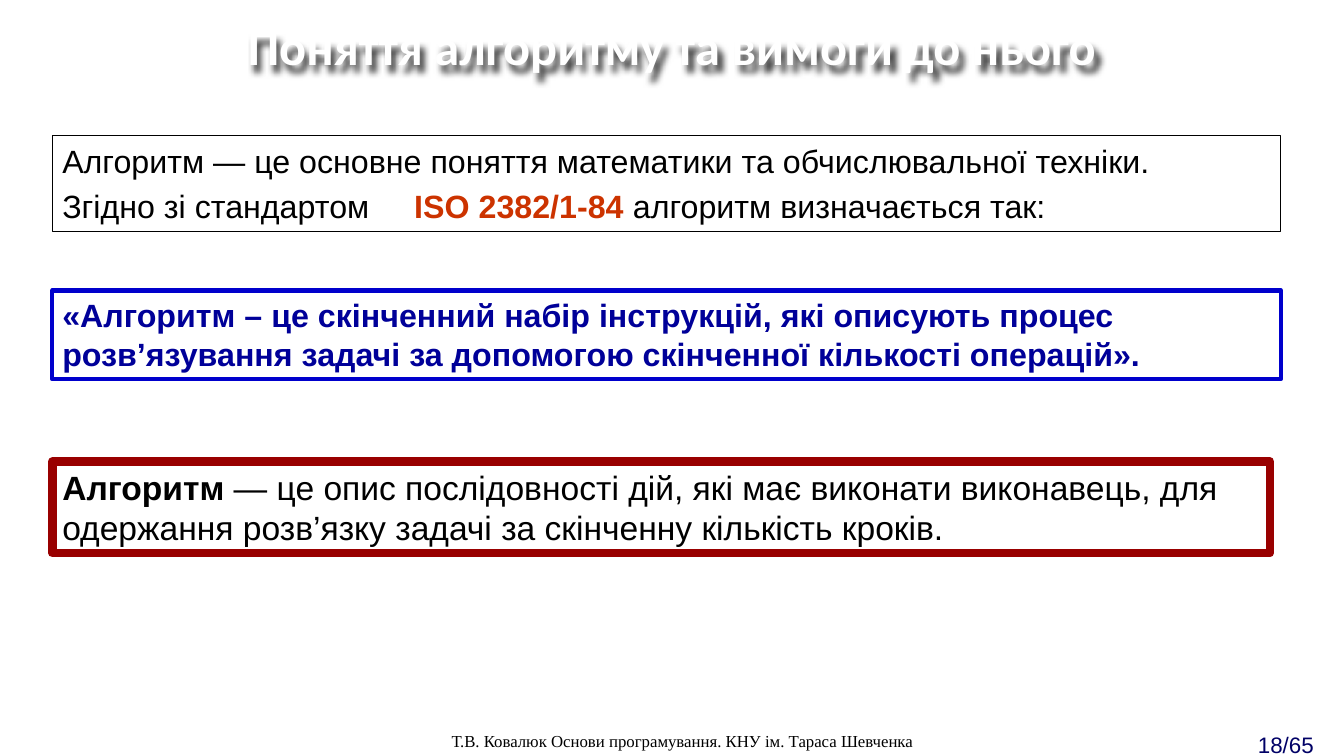
from dataclasses import dataclass

from lxml import etree
from pptx import Presentation
from pptx.dml.color import RGBColor
from pptx.enum.shapes import MSO_SHAPE
from pptx.enum.text import MSO_ANCHOR, PP_ALIGN
from pptx.oxml.ns import qn
from pptx.util import Cm, Pt

RECT = MSO_SHAPE.RECTANGLE
TOP, MIDDLE = MSO_ANCHOR.TOP, MSO_ANCHOR.MIDDLE
LEFT, CENTER, JUSTIFY = PP_ALIGN.LEFT, PP_ALIGN.CENTER, PP_ALIGN.JUSTIFY


@dataclass(frozen=True)
class Theme:
    white: str = "FFFFFF"
    black: str = "000000"
    navy: str = "000066"
    ink: str = "000099"
    blue: str = "0000CC"
    red: str = "990000"
    rust: str = "CC3300"
    head: int = 36
    large: int = 24
    body: int = 23
    page: int = 16
    foot: int = 12
    sans: str = "Arial"
    serif: str = "Times New Roman"
    title: str = "Calibri"


THEME = Theme()


def style(item, values):
    for name, value in values.items():
        setattr(item, name, value)


def write(shape, paras, size, face=THEME.sans, anchor=TOP, **form):
    """Fill a shape with paragraphs, each a list of (text, colour, bold)."""
    frame = shape.text_frame
    style(frame, {"word_wrap": True, "vertical_anchor": anchor})
    for i, runs in enumerate(paras):
        para = frame.add_paragraph() if i else frame.paragraphs[0]
        style(para, {"alignment": LEFT, **form})
        for text, color, bold in runs:
            run = para.add_run()
            run.text = text
            style(run.font, {"name": face, "size": Pt(size), "bold": bold})
            run.font.color.rgb = RGBColor.from_string(color)


def label(slide, area, text, color, size, bold=False, **form):
    box = slide.shapes.add_textbox(*map(Cm, area))
    write(box, [[(text, color, bold)]], size, **form)
    return box


def frame(slide, area, color, width, paras, size, **form):
    box = slide.shapes.add_shape(RECT, *map(Cm, area))
    box.shadow.inherit = False
    box.fill.background()
    box.line.color.rgb = RGBColor.from_string(color)
    box.line.width = Pt(width)
    write(box, paras, size, **form)
    return box


def shade(shape):
    """Cast a soft dark shadow from the text of an unfilled shape."""
    props = shape._element.spPr
    effects = etree.SubElement(props, qn("a:effectLst"))
    cast = etree.SubElement(effects, qn("a:outerShdw"), blurRad=str(Pt(4)),
                            dist=str(Pt(5)), dir="3600000", algn="tl",
                            rotWithShape="0")
    tint = etree.SubElement(cast, qn("a:srgbClr"), val=THEME.black)
    etree.SubElement(tint, qn("a:alpha"), val="75000")


def tab(para, place):
    stops = etree.SubElement(para._p.get_or_add_pPr(), qn("a:tabLst"))
    etree.SubElement(stops, qn("a:tab"), pos=str(Cm(place)), algn="l")


def main():
    t = THEME
    deck = Presentation()
    style(deck, {"slide_width": Cm(33.87), "slide_height": Cm(19.05)})
    slide = deck.slides.add_slide(deck.slide_layouts[6])

    label(slide, (31.45, 18.29, 2.42, 0.76), "18/65", t.navy, t.page)
    label(slide, (11.13, 18.29, 17.07, 0.76),
          "Т.В. Ковалюк Основи програмування. КНУ ім. Тараса Шевченка",
          t.black, t.foot, face=t.serif)
    title = label(slide, (0, 0.53, 33.87, 1.4),
                  "Поняття алгоритму та вимоги до нього", t.white, t.head,
                  bold=True, face=t.title, anchor=MIDDLE, alignment=CENTER,
                  line_spacing=0.9)
    shade(title)

    left, wide = 1.32, 30.96
    intro = frame(slide, (left, 3.41, wide, 2.42), t.black, 0.75, [
        [("Алгоритм — це основне поняття математики та обчислювальної техніки.",
          t.black, False)],
        [("Згідно зі стандартом\t", t.black, False),
         ("ISO\u00a02382/1-84", t.rust, True),
         (" алгоритм визначається так:", t.black, False)],
    ], t.body, anchor=MIDDLE, alignment=JUSTIFY, space_before=Pt(4.6))
    tab(intro.text_frame.paragraphs[1], 8.87)

    frame(slide, (left, 7.32, wide, 2.24), t.blue, 3, [
        [("«Алгоритм – це скінченний набір інструкцій, які описують процес "
          "розв’язування задачі за допомогою скінченної кількості операцій».",
          t.ink, True)],
    ], t.body)
    frame(slide, (left, 11.63, 30.68, 2.31), t.red, 6, [
        [("Алгоpитм", t.black, True),
         (" — це опис послідовності дій, які має виконати виконавець, для "
          "одержання розв’язку задачі за скінченну кількість кроків.",
          t.black, False)],
    ], t.large, anchor=MIDDLE)

    deck.save("out.pptx")


if __name__ == "__main__":
    main()
